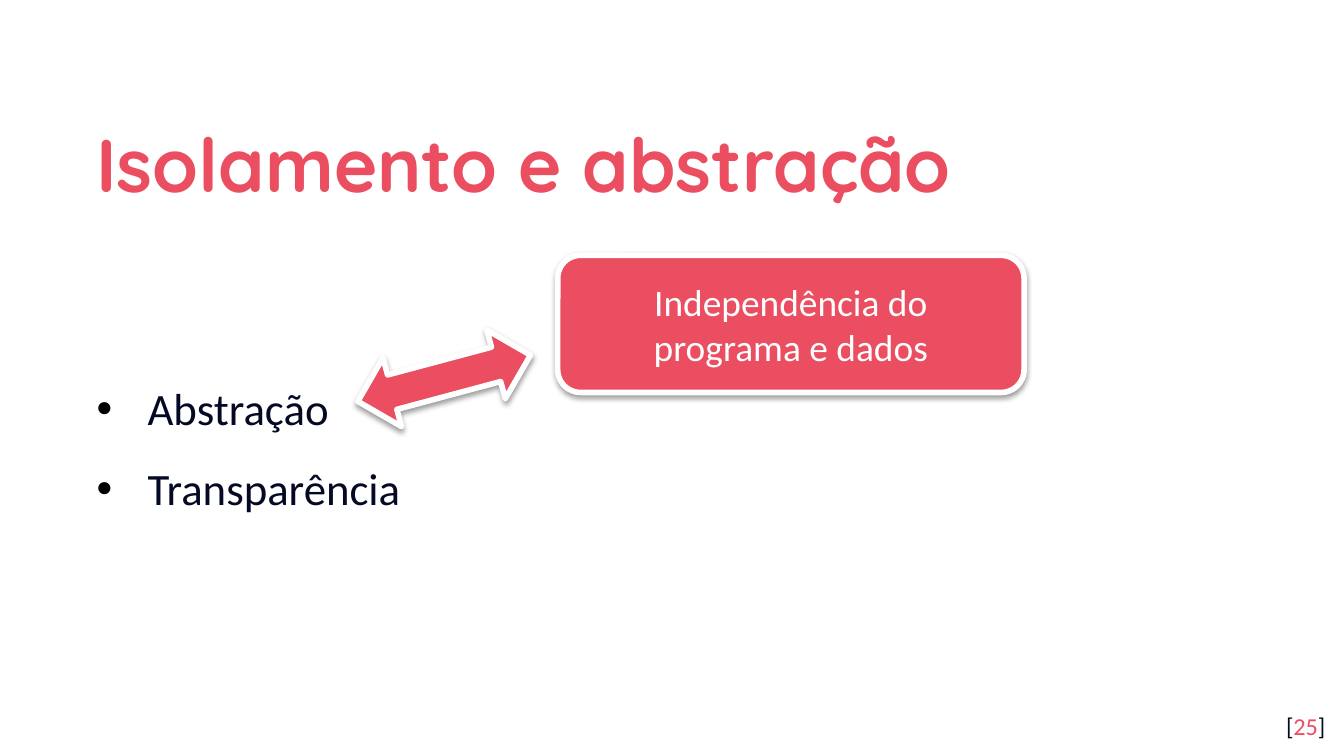
from lxml import etree
from pptx import Presentation
from pptx.dml.color import RGBColor
from pptx.enum.shapes import MSO_SHAPE
from pptx.enum.text import MSO_ANCHOR, PP_ALIGN
from pptx.oxml.ns import qn
from pptx.util import Inches, Pt

ROUNDED, DOUBLE_ARROW = MSO_SHAPE.ROUNDED_RECTANGLE, MSO_SHAPE.LEFT_RIGHT_ARROW
TOP, MIDDLE = MSO_ANCHOR.TOP, MSO_ANCHOR.MIDDLE
LEFT, RIGHT, CENTER, JUSTIFY = (
    PP_ALIGN.LEFT, PP_ALIGN.RIGHT, PP_ALIGN.CENTER, PP_ALIGN.JUSTIFY)

THEME = {
    "accent": "EA4E60", "ink": "040A24", "white": "FFFFFF", "black": "000000",
    "heading": "Quicksand", "body": "Calibri",
    "title_size": 40, "bullet_size": 24, "callout_size": 20, "page_size": 13,
}

# Each paragraph is a list of (text, colour) runs.
TITLE = [[("Isolamento e abstração", "accent")]]
BULLETS = [[("Abstração", "ink")], [("Transparência", "ink")]]
PAGE = [[("[", "ink"), ("25", "accent"), ("]", "ink")]]
CALLOUT = [[("Independência do programa e dados", "white")]]

SLIDE_WIDTH = 10
SLIDE_HEIGHT = SLIDE_WIDTH * 9 / 16
TITLE_AT = (0.62, 0.7, 8.77, 0.92)
PAGE_AT = (9.36, 5.19, 0.6, 0.43)
BULLETS_AT = (0.62, 1.62, 6.36, 3.37)
CALLOUT_AT = (4.15, 1.9, 3.47, 1.02)
ARROW_AT = (2.64, 2.55, 1.33, 0.53)


def colour(name):
    return RGBColor.from_string(THEME[name])


def add_bullet(p, indent):
    pPr = p._p.get_or_add_pPr()
    pPr.set("marL", str(Inches(indent)))
    pPr.set("indent", str(-Inches(indent)))
    bu_clr = etree.SubElement(pPr, qn("a:buClr"))
    etree.SubElement(bu_clr, qn("a:srgbClr"), val=THEME["black"])
    etree.SubElement(pPr, qn("a:buFont"), typeface="Arial")
    etree.SubElement(pPr, qn("a:buChar"), char="•")


def write(tf, paragraphs, size, font="body", bold=False, align=LEFT,
          spacing=1.0, gap=0, bullet_indent=None):
    """Fill a text frame; gap is the space in points between paragraphs."""
    for i, runs in enumerate(paragraphs):
        p = tf.add_paragraph() if i else tf.paragraphs[0]
        p.alignment, p.line_spacing = align, spacing
        p.space_before = Pt(gap if i else 0)
        if bullet_indent:
            add_bullet(p, bullet_indent)
        for text, ink in runs:
            r = p.add_run()
            r.text = text
            r.font.color.rgb = colour(ink)
            for name, value in {"size": Pt(THEME[size]), "name": THEME[font],
                                "bold": bold}.items():
                setattr(r.font, name, value)


def add_text(s, at, paragraphs, size, anchor=MIDDLE, **style):
    tf = s.shapes.add_textbox(*map(Inches, at)).text_frame
    margins = {f"margin_{side}": Inches(0.1)
               for side in ("left", "top", "right", "bottom")}
    for name, value in {"word_wrap": True, "vertical_anchor": anchor,
                        **margins}.items():
        setattr(tf, name, value)
    write(tf, paragraphs, size, **style)


def add_raised_shape(s, kind, at):
    """Add an accent shape with a white outline and a soft shadow below."""
    sp = s.shapes.add_shape(kind, *map(Inches, at))
    sp.fill.solid()
    sp.fill.fore_color.rgb = colour("accent")
    sp.line.color.rgb = colour("white")
    sp.line.width = Pt(3)
    sp.shadow.inherit = False
    effects = sp._element.spPr.find(qn("a:effectLst"))
    shadow = etree.SubElement(
        effects, qn("a:outerShdw"), blurRad=str(Pt(3.1)), dist=str(Pt(1.6)),
        dir=str(90 * 60000), rotWithShape="0")
    clr = etree.SubElement(shadow, qn("a:srgbClr"), val=THEME["black"])
    etree.SubElement(clr, qn("a:alpha"), val="38000")
    return sp


def main():
    prs = Presentation()
    prs.slide_width, prs.slide_height = Inches(SLIDE_WIDTH), Inches(SLIDE_HEIGHT)
    s = prs.slides.add_slide(prs.slide_layouts[6])

    add_text(s, TITLE_AT, TITLE, "title_size", font="heading", bold=True,
             spacing=1.15)
    add_text(s, PAGE_AT, PAGE, "page_size", anchor=TOP, align=RIGHT)
    add_text(s, BULLETS_AT, BULLETS, "bullet_size", align=JUSTIFY,
             spacing=1.14, gap=10, bullet_indent=0.38)

    callout = add_raised_shape(s, ROUNDED, CALLOUT_AT)
    callout.text_frame.word_wrap = True
    callout.text_frame.vertical_anchor = MIDDLE
    write(callout.text_frame, CALLOUT, "callout_size", align=CENTER)

    arrow = add_raised_shape(s, DOUBLE_ARROW, ARROW_AT)
    arrow.rotation = 345

    prs.save("out.pptx")


if __name__ == "__main__":
    main()
